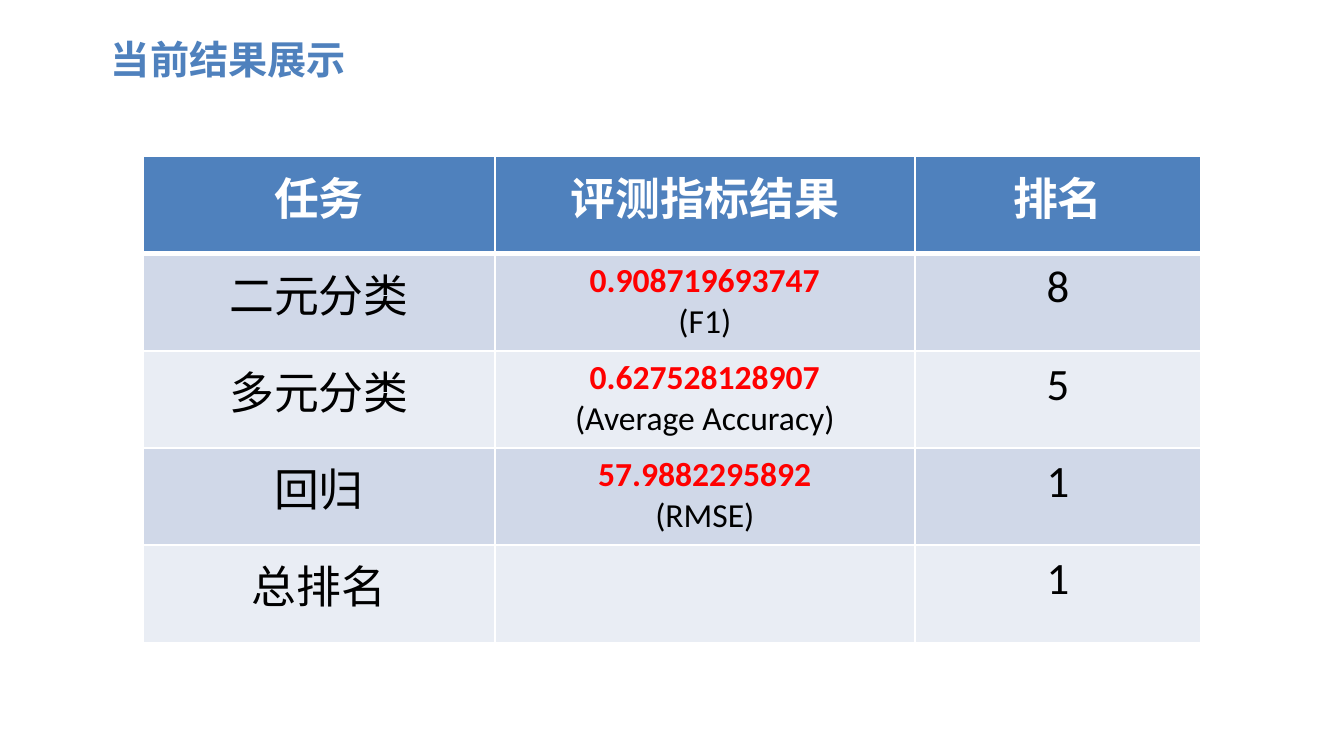
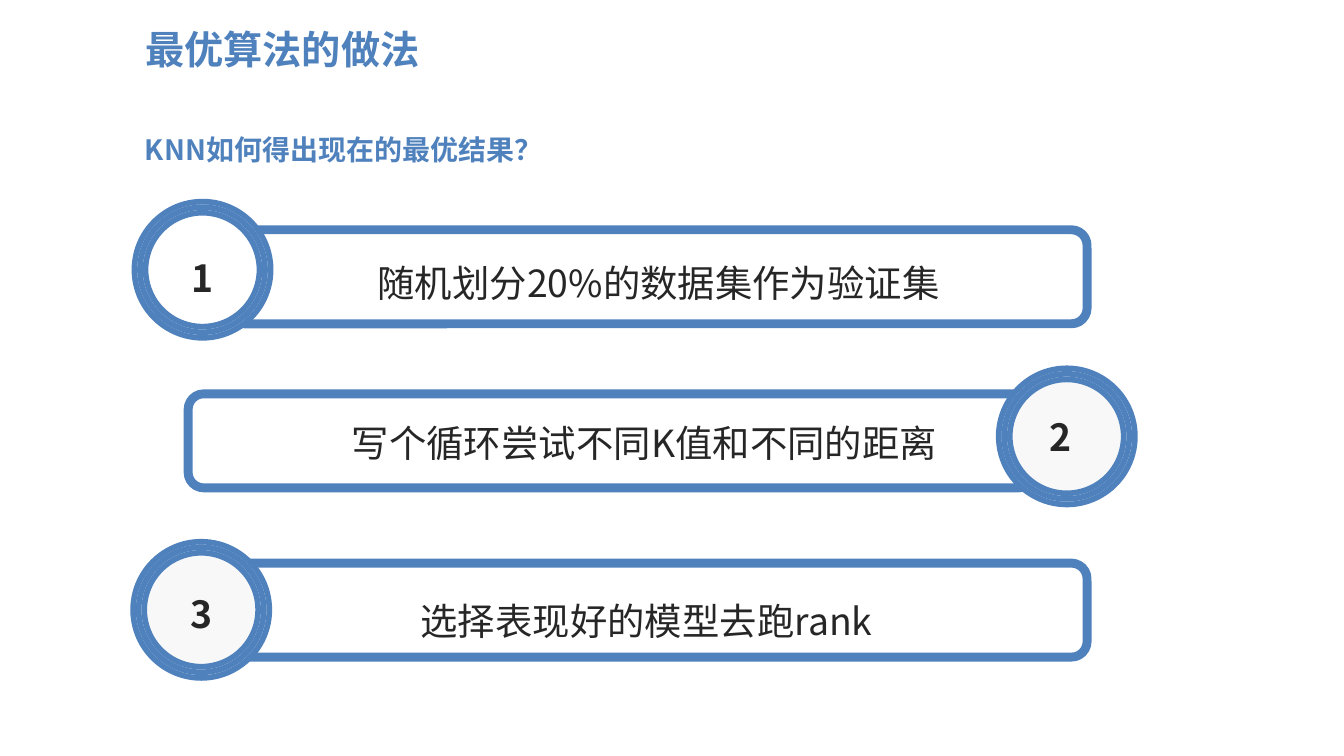
import dataclasses
import pptx
import pptx.util
import pptx.dml.color
import pptx.enum.shapes
import pptx.enum.text
import pptx.oxml
import pptx.oxml.ns
import lxml.etree

Pt = pptx.util.Pt
Kind = pptx.enum.shapes.MSO_SHAPE
Align = pptx.enum.text.PP_ALIGN


@dataclasses.dataclass(frozen=True)
class Theme:
    """Colours, fonts and type sizes of the deck."""
    blue: str = "4F81BD"
    white: str = "FFFFFF"
    pale: str = "F8F8F8"
    ink: str = "262626"
    black: str = "000000"
    red: str = "FF0000"
    bands: tuple = ("D0D8E8", "E9EDF4")
    sans: str = "Noto Sans CJK SC"
    latin: str = "Calibri"
    title: int = 21
    lead: int = 15
    body: int = 20
    cell: int = 24
    score: int = 18


@dataclasses.dataclass(frozen=True)
class Step:
    """One numbered bar; ring and label are offsets from the bar."""
    number: str
    label: str
    bar: tuple
    ring: tuple
    digit: tuple
    start: tuple
    core: str | None = None


THEME = Theme()
ROWS = (
    ("任务", "评测指标结果", "排名"),
    ("二元分类", "0.908719693747\n(F1)", "8"),
    ("多元分类", "0.627528128907\n(Average Accuracy)", "5"),
    ("回归", "57.9882295892\n(RMSE)", "1"),
    ("总排名", "", "1"),
)
STEPS = (
    Step("1", "随机划分20%的数据集作为验证集", (122.4, 123.1, 460, 50.4),
         (-50.4, -15.1), (0.5, 25.2), (72.7, 5.8), THEME.white),
    Step("2", "写个循环尝试不同K值和不同的距离", (100.8, 211, 453.6, 50.4),
         (434.2, -13.7), (-3, 20.9), (80.6, 3.6)),
    Step("3", "选择表现好的模型去跑rank", (122.4, 301.7, 460, 50.4),
         (-51.1, -11.5), (0.7, 23), (95.8, 7.9)),
)


def color(code):
    """Turn a hex code into a colour."""
    return pptx.dml.color.RGBColor.from_string(code)


def style(para, size, code, bold=False, face=THEME.sans, align=Align.LEFT):
    """Format a paragraph and its runs."""
    para.alignment = align
    for run in para.runs:
        font = run.font
        font.size, font.bold, font.name = Pt(size), bold, face
        font.color.rgb = color(code)
        east = lxml.etree.SubElement(run._r.get_or_add_rPr(), pptx.oxml.ns.qn("a:ea"))
        east.set("typeface", THEME.sans)


def write(shape, text, size, code, bold=False, align=Align.LEFT, space=None):
    """Put one wrapped, top-anchored paragraph in a shape."""
    frame = shape.text_frame
    frame.text = text
    frame.word_wrap = True
    frame.auto_size = pptx.enum.text.MSO_AUTO_SIZE.SHAPE_TO_FIT_TEXT
    frame.vertical_anchor = pptx.enum.text.MSO_ANCHOR.TOP
    para = frame.paragraphs[0]
    style(para, size, code, bold, align=align)
    if space:
        para.line_spacing = space


def label(slide, box, *args, **extra):
    """Add a text box."""
    write(slide.shapes.add_textbox(*map(Pt, box)), *args, **extra)


def outline(slide, kind, box, width, fill=None):
    """Add a blue outlined shape with an optional fill."""
    shape = slide.shapes.add_shape(kind, *map(Pt, box))
    shape.shadow.inherit = False
    shape.line.color.rgb = color(THEME.blue)
    shape.line.width = Pt(width)
    if fill:
        shape.fill.solid()
        shape.fill.fore_color.rgb = color(fill)
    else:
        shape.fill.background()


def page(deck, text, left, top):
    """Add a slide with its title."""
    slide = deck.slides.add_slide(deck.slide_layouts[5])
    title = slide.shapes.title
    title.left, title.top, title.width, title.height = map(Pt, (left, top, 194.4, 32.4))
    write(title, text, THEME.title, THEME.blue, True, Align.CENTER)
    return slide


def edge(cell, row):
    """Draw white cell borders, thick below the header."""
    props = cell._tc.get_or_add_tcPr()
    thick = {0: "B", 1: "T"}.get(row)
    for index, side in enumerate("LRTB"):
        width = Pt(3 if side == thick else 1)
        line = pptx.oxml.parse_xml(
            f'<a:ln{side} {pptx.oxml.ns.nsdecls("a")} w="{width}"><a:solidFill>'
            f'<a:srgbClr val="{THEME.white}"/></a:solidFill></a:ln{side}>')
        props.insert(index, line)


def grid(slide, box, widths):
    """Fill a box with the table of results."""
    table = slide.shapes.add_table(len(ROWS), len(widths), *map(Pt, box)).table
    for column, width in zip(table.columns, widths):
        column.width = Pt(width)
    for r, texts in enumerate(ROWS):
        table.rows[r].height = Pt(box[3] / len(ROWS))
        for c, text in enumerate(texts):
            cell = table.cell(r, c)
            cell.fill.solid()
            cell.fill.fore_color.rgb = color(THEME.bands[(r - 1) % 2] if r else THEME.blue)
            edge(cell, r)
            cell.text_frame.text = text
            for p, para in enumerate(cell.text_frame.paragraphs):
                score = r > 0 and c == 1
                code = THEME.white if r == 0 else THEME.red if score and p == 0 else THEME.black
                style(para, THEME.score if score else THEME.cell, code,
                      code != THEME.black, THEME.latin, Align.CENTER)


def badge(slide, x, y, core):
    """Draw three nested rings in a square."""
    for index, fill in enumerate((THEME.pale, core, None)):
        gap = 3 * index
        side = 73 - 2 * gap
        outline(slide, Kind.OVAL, (x + gap, y + gap, side, side), 3, fill)


def draw(slide, step):
    """Draw a bar with its badge, number and label."""
    x, y = step.bar[:2]
    outline(slide, Kind.ROUNDED_RECTANGLE, step.bar, 4.75)
    left, top = x + step.ring[0], y + step.ring[1]
    badge(slide, left, top, step.core)
    label(slide, (left + step.digit[0], top + step.digit[1], 72, 31.7),
          step.number, THEME.body, THEME.ink, True, Align.CENTER)
    label(slide, (x + step.start[0], y + step.start[1], 422, 38.9),
          step.label, THEME.body, THEME.ink, space=1.3)


def main():
    """Build and save the deck."""
    deck = pptx.Presentation()
    deck.slide_width, deck.slide_height = Pt(720), Pt(405)
    slide = page(deck, "当前结果展示", 25.2, 15.1)
    grid(slide, (76.6, 83.8, 566.9, 260.5), (188.6, 224.9, 153.4))
    slide = page(deck, "最优算法的做法", 54, 10)
    label(slide, (70.6, 49.7, 249, 38.2), "KNN如何得出现在的最优结果？",
          THEME.lead, THEME.blue, True, space=2.0)
    for step in STEPS:
        draw(slide, step)
    deck.save("out.pptx")


if __name__ == "__main__":
    main()
